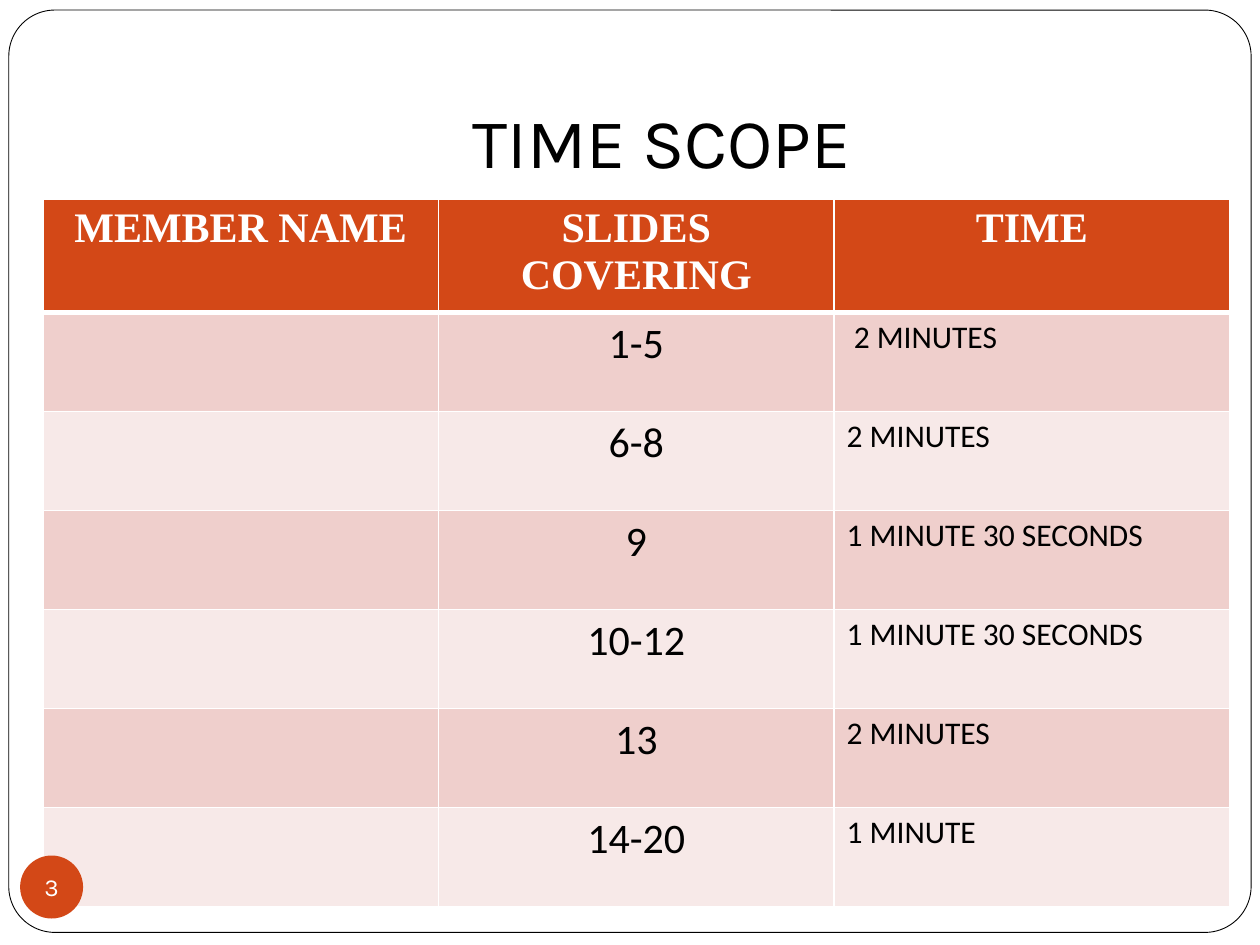
from lxml import etree
from pptx import Presentation
from pptx.dml.color import RGBColor
from pptx.enum.shapes import MSO_SHAPE
from pptx.enum.text import MSO_ANCHOR, PP_ALIGN
from pptx.oxml.ns import qn
from pptx.util import Inches, Pt

ROUNDED = MSO_SHAPE.ROUNDED_RECTANGLE
OVAL = MSO_SHAPE.OVAL
CENTER = PP_ALIGN.CENTER
LEFT = PP_ALIGN.LEFT
MIDDLE = MSO_ANCHOR.MIDDLE
BOTTOM = MSO_ANCHOR.BOTTOM

ORANGE = "D34817"
WHITE = "FFFFFF"
BLACK = "000000"
BANDS = ["EFCFCC", "F7E9E8"]

HEADERS = ["MEMBER NAME", "SLIDES COVERING", "TIME"]
SCHEDULE = [
    ("1-5", " 2 MINUTES"),
    ("6-8", "2 MINUTES"),
    ("9", "1 MINUTE 30 SECONDS"),
    ("10-12", "1 MINUTE 30 SECONDS"),
    ("13", "2 MINUTES"),
    ("14-20", "1 MINUTE"),
]


def color(value):
    return RGBColor.from_string(value)


def write(text_frame, text, size, font, text_color, align=CENTER, bold=False):
    text_frame.text = text
    paragraph = text_frame.paragraphs[0]
    paragraph.alignment = align
    for run in paragraph.runs:
        run.font.size = Pt(size)
        run.font.name = font
        run.font.bold = bold
        run.font.color.rgb = color(text_color)


def set_margins(text_frame, left, top, right, bottom):
    text_frame.margin_left = Inches(left)
    text_frame.margin_top = Inches(top)
    text_frame.margin_right = Inches(right)
    text_frame.margin_bottom = Inches(bottom)


def add_shape(slide, kind, left, top, width, height, fill):
    shape = slide.shapes.add_shape(
        kind, Inches(left), Inches(top), Inches(width), Inches(height))
    shape.shadow.inherit = False
    shape.fill.solid()
    shape.fill.fore_color.rgb = color(fill)
    shape.line.fill.background()
    return shape


def add_frame(slide):
    frame = add_shape(slide, ROUNDED, 0.07, 0.08, 9.86, 7.32, WHITE)
    frame.adjustments[0] = 0.05
    frame.line.color.rgb = color(BLACK)
    frame.line.width = Pt(0.5)


def add_title(slide, text):
    box = slide.shapes.add_textbox(Inches(1), Inches(0.3), Inches(8.5), Inches(1.25))
    text_frame = box.text_frame
    text_frame.word_wrap = True
    text_frame.vertical_anchor = BOTTOM
    set_margins(text_frame, 0.1, 0.05, 0.1, 0.1)
    write(text_frame, text, 40, "Karla", BLACK)


def add_page_number(slide, text):
    badge = add_shape(slide, OVAL, 0.16, 6.79, 0.5, 0.5, ORANGE)
    text_frame = badge.text_frame
    text_frame.word_wrap = False
    text_frame.vertical_anchor = MIDDLE
    set_margins(text_frame, 0, 0, 0, 0)
    write(text_frame, text, 14, "Karla", WHITE)


def style_cell(cell, fill, top=1, bottom=1):
    properties = cell._tc.get_or_add_tcPr()
    for side, width in (("L", 1), ("R", 1), ("T", top), ("B", bottom)):
        border = etree.SubElement(properties, qn(f"a:ln{side}"), w=str(Pt(width)))
        solid = etree.SubElement(border, qn("a:solidFill"))
        etree.SubElement(solid, qn("a:srgbClr"), val=WHITE)
    cell.fill.solid()
    cell.fill.fore_color.rgb = color(fill)


def add_schedule(slide):
    row_count = len(SCHEDULE) + 1
    table = slide.shapes.add_table(
        row_count, len(HEADERS),
        Inches(0.34), Inches(1.58), Inches(9.42), Inches(5.5)).table
    for column, header in enumerate(HEADERS):
        cell = table.cell(0, column)
        style_cell(cell, ORANGE, bottom=3)
        write(cell.text_frame, header, 24, "Times New Roman", WHITE, bold=True)
    for row, (slides, time) in enumerate(SCHEDULE, start=1):
        for column in range(len(HEADERS)):
            style_cell(table.cell(row, column), BANDS[(row - 1) % 2],
                       top=3 if row == 1 else 1)
        write(table.cell(row, 1).text_frame, slides, 24, "Calibri", BLACK)
        write(table.cell(row, 2).text_frame, time, 18, "Calibri", BLACK, LEFT)


def main():
    presentation = Presentation()
    presentation.slide_width = Inches(10)
    presentation.slide_height = Inches(7.5)
    slide = presentation.slides.add_slide(presentation.slide_layouts[6])
    add_frame(slide)
    add_title(slide, "TIME SCOPE")
    add_schedule(slide)
    add_page_number(slide, "3")
    presentation.save("out.pptx")


if __name__ == "__main__":
    main()
